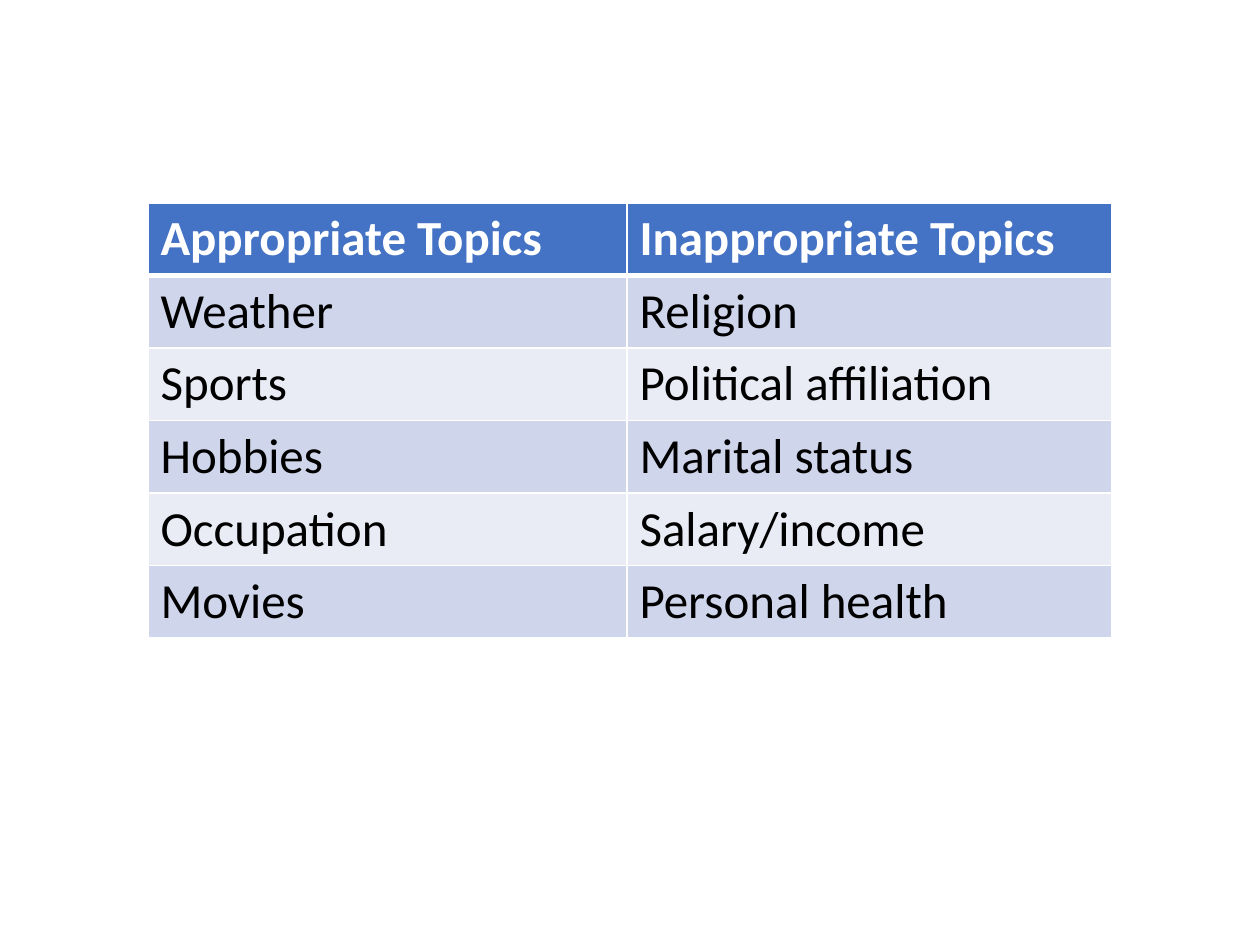
from pptx import Presentation
from pptx import util as u
from pptx.dml.color import RGBColor
from pptx.oxml import parse_xml
from pptx.oxml.ns import nsdecls

PX_PER_INCH = 126
WHITE, BLACK, BLUE = "FFFFFF", "000000", "4472C4"
BANDS = ["CFD5EA", "E9EBF5"]
COLUMN_WIDTHS = [479, 485]
ROW_HEIGHTS = [71, 69, 68, 68, 68, 68]
TOPICS = [
    ("Appropriate Topics", "Inappropriate Topics"),
    ("Weather", "Religion"),
    ("Sports", "Political affiliation"),
    ("Hobbies", "Marital status"),
    ("Occupation", "Salary/income"),
    ("Movies", "Personal health"),
]


def px(length):
    return u.Emu(round(length * u.Inches(1) / PX_PER_INCH))


def color(hex_code):
    return RGBColor.from_string(hex_code)


def set_borders(cell, top, bottom):
    """Draw white borders; top and bottom widths are in points, sides are 1 pt."""
    properties = cell._tc.get_or_add_tcPr()
    for side, width in (("L", 1), ("R", 1), ("T", top), ("B", bottom)):
        properties.append(parse_xml(
            f'<a:ln{side} {nsdecls("a")} w="{u.Pt(width)}"><a:solidFill>'
            f'<a:srgbClr val="{WHITE}"/></a:solidFill></a:ln{side}>'))


def format_cell(cell, topic, row):
    is_header = row == 0
    set_borders(cell, top=3 if row == 1 else 1, bottom=3 if is_header else 1)
    cell.fill.solid()
    cell.fill.fore_color.rgb = color(BLUE if is_header else BANDS[(row - 1) % 2])
    cell.text = topic
    font = cell.text_frame.paragraphs[0].font
    font.name = "Calibri"
    font.size = u.Pt(28)
    font.bold = is_header
    font.color.rgb = color(WHITE if is_header else BLACK)


def add_topic_table(slide, left, top, height):
    frame = slide.shapes.add_table(
        len(TOPICS), len(COLUMN_WIDTHS),
        px(left), px(top), px(sum(COLUMN_WIDTHS)), px(height))
    table = frame.table
    for column, width in zip(table.columns, COLUMN_WIDTHS):
        column.width = px(width)
    for row, row_height in zip(table.rows, ROW_HEIGHTS):
        row.height = px(row_height)
    frame.height = px(height)
    for row, topics in enumerate(TOPICS):
        for column, topic in enumerate(topics):
            format_cell(table.cell(row, column), topic, row)


def main():
    presentation = Presentation()
    presentation.slide_width = px(1260)
    presentation.slide_height = px(945)
    slide = presentation.slides.add_slide(presentation.slide_layouts[6])
    add_topic_table(slide, left=148, top=203, height=431)
    presentation.save("out.pptx")


if __name__ == "__main__":
    main()
